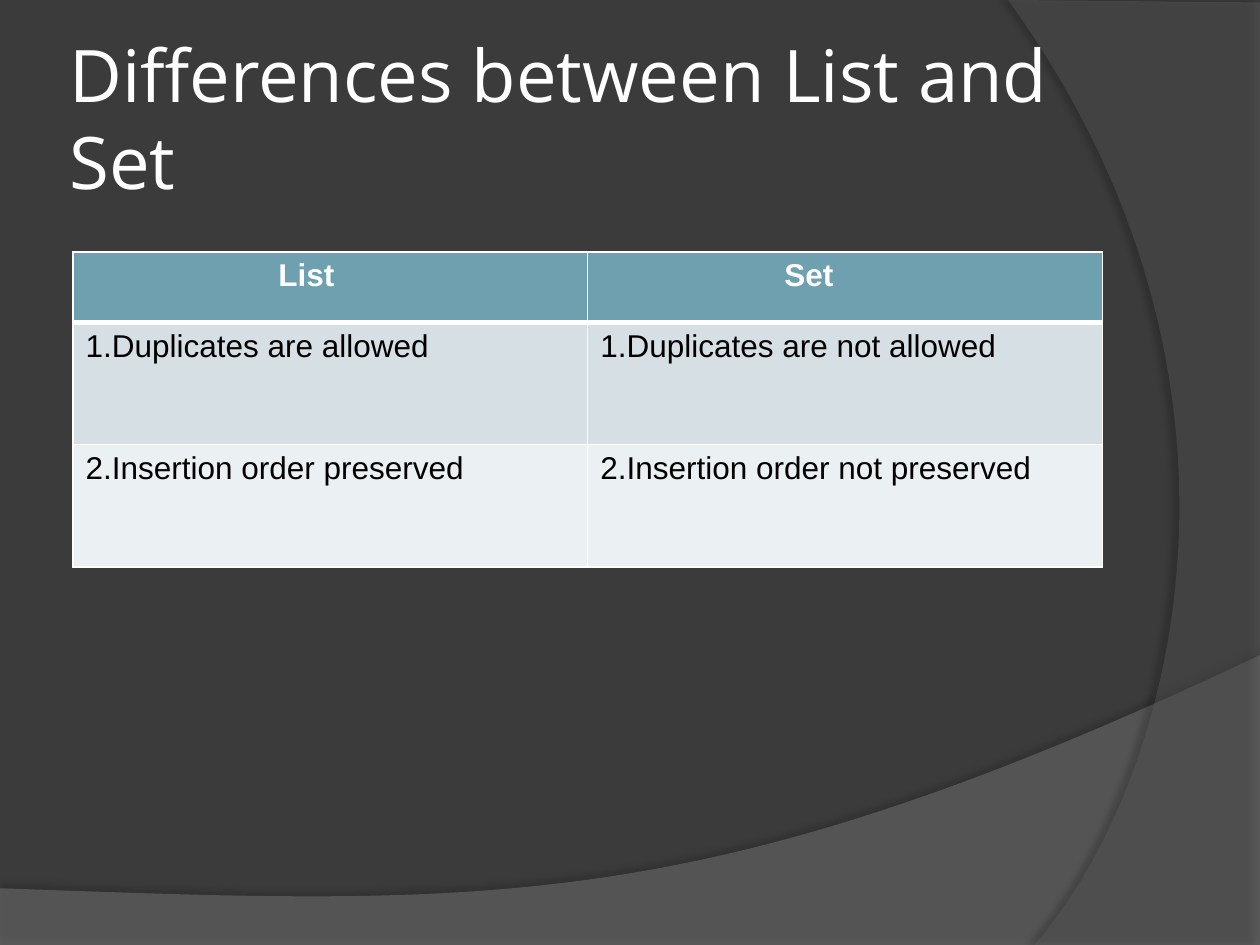
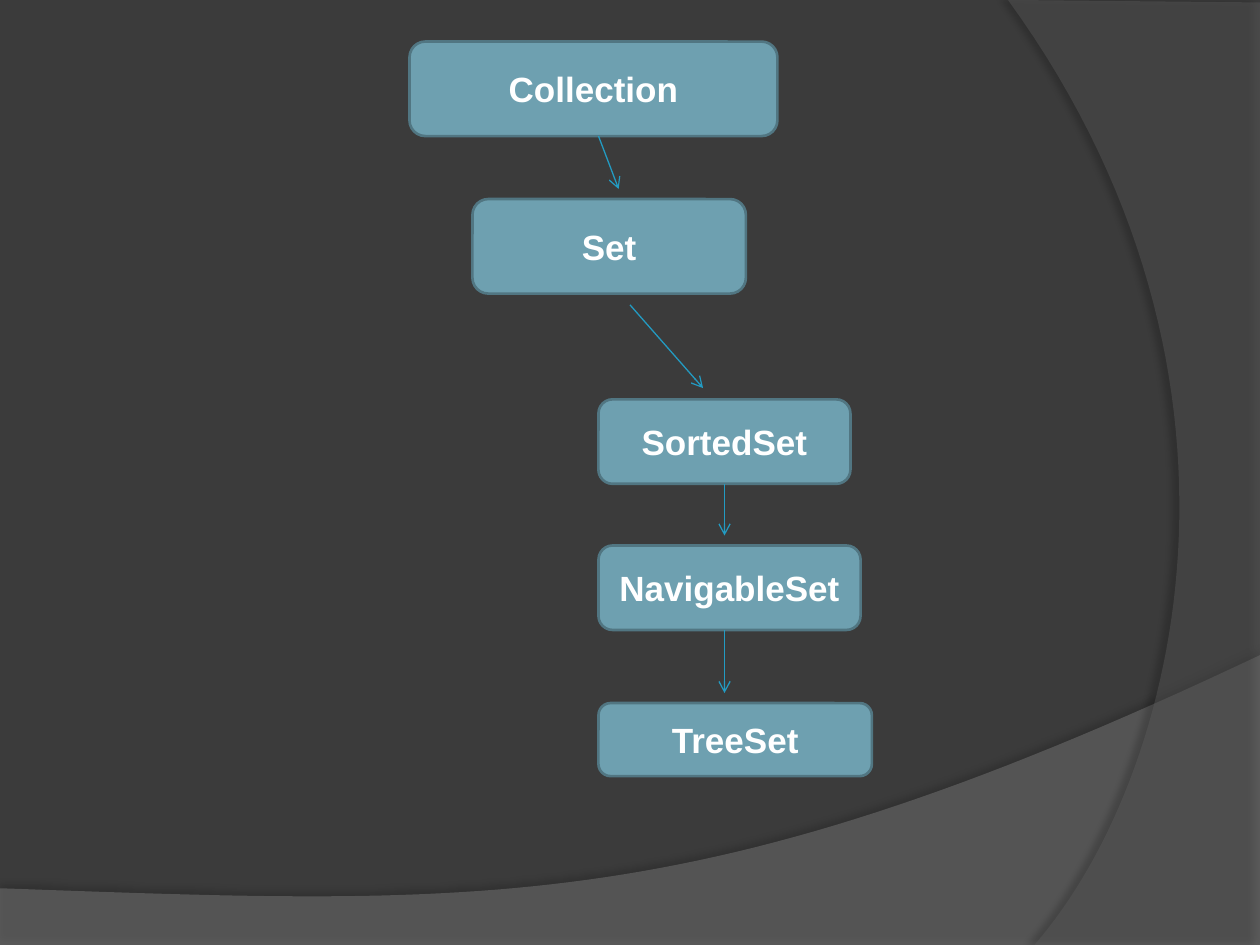
import pptx
import pptx.enum.shapes
import pptx.enum.text
import pptx.oxml
import pptx.oxml.ns
import pptx.util
from pptx.dml.color import RGBColor
from pptx.util import Inches

BACKGROUND = RGBColor(0x3B, 0x3B, 0x3B)
LOWER_BAND = RGBColor(0x7F, 0x7F, 0x7F)
RIGHT_BAND = RGBColor(0x5E, 0x5E, 0x5E)
WHITE = RGBColor(0xFF, 0xFF, 0xFF)
BLACK = RGBColor(0, 0, 0)
TEAL = RGBColor(0x6E, 0xA0, 0xB0)
TEAL_EDGE = RGBColor(0x51, 0x76, 0x82)
ARROW_BLUE = RGBColor(0x23, 0x9B, 0xC2)
ROW_FILLS = [RGBColor(0xD5, 0xDF, 0xE4), RGBColor(0xEB, 0xF0, 0xF2)]
TITLE_FONT = "Open Sans"
BODY_FONT = "Arial"
TITLE_ONLY, BLANK = 5, 6
BOTTOM_SITE = 2


def element(markup):
    return pptx.oxml.parse_xml(
        markup.replace(" ", f" {pptx.oxml.ns.nsdecls('a')} ", 1))


def curve(start, first, second, end, steps=60):
    points = []
    for step in range(1, steps + 1):
        t = step / steps
        weights = ((1 - t) ** 3, 3 * t * (1 - t) ** 2, 3 * t * t * (1 - t), t ** 3)
        points.append(tuple(
            sum(w * p[axis] for w, p in zip(weights, (start, first, second, end)))
            for axis in (0, 1)))
    return points


class Deck:
    def __init__(self):
        self.presentation = pptx.Presentation()
        self.presentation.slide_width = Inches(10)
        self.presentation.slide_height = Inches(7.5)
        self.master = self.presentation.slide_master
        self.master.background.fill.solid()
        self.master.background.fill.fore_color.rgb = BACKGROUND
        self.slide = None

    def new_slide(self, layout):
        self.slide = self.presentation.slides.add_slide(
            self.presentation.slide_layouts[layout])

    def add_text(self, paragraph, text, size, color, font=BODY_FONT, bold=False):
        run = paragraph.add_run()
        run.text = text
        run.font.name = font
        run.font.size = pptx.util.Pt(size)
        run.font.bold = bold
        run.font.color.rgb = color

    def master_band(self, points, color, opacity, shadow, depth):
        corners = [(Inches(x), Inches(y)) for x, y in points]
        builder = self.slide.shapes.build_freeform(*corners[0])
        builder.add_line_segments(corners[1:], close=True)
        band = builder.convert_to_shape()
        band.fill.solid()
        band.fill.fore_color.rgb = color
        band.line.fill.background()
        band.shadow.inherit = False
        properties = band._element.spPr
        properties.find(".//" + pptx.oxml.ns.qn("a:srgbClr")).append(
            element(f'<a:alpha val="{opacity * 1000}"/>'))
        distance, angle, strength = shadow
        properties.find(pptx.oxml.ns.qn("a:effectLst")).append(element(
            f'<a:outerShdw blurRad="{pptx.util.Pt(4)}" dist="{pptx.util.Pt(distance)}" '
            f'dir="{angle * 60000}" algn="ctr" rotWithShape="0">'
            f'<a:srgbClr val="000000"><a:alpha val="{strength * 1000}"/></a:srgbClr>'
            '</a:outerShdw>'))
        band._element.nvSpPr.cNvPr.set("id", str(100 + depth))
        self.master.shapes._spTree.insert(2 + depth, band._element)

    def title(self, text):
        title = self.slide.shapes.title
        title.left, title.top = Inches(0.5), Inches(0.3)
        title.width, title.height = Inches(8.17), Inches(1.25)
        frame = title.text_frame
        frame.margin_left = frame.margin_right = Inches(0.05)
        frame.margin_top = frame.margin_bottom = Inches(0.05)
        frame.word_wrap = True
        frame.auto_size = pptx.enum.text.MSO_AUTO_SIZE.NONE
        frame.vertical_anchor = pptx.enum.text.MSO_ANCHOR.MIDDLE
        paragraph = frame.paragraphs[0]
        paragraph.alignment = pptx.enum.text.PP_ALIGN.LEFT
        self.add_text(paragraph, text, 41.4, WHITE, TITLE_FONT)

    def cell(self, cell, text, fill, color, bold, indent, top, bottom):
        properties = cell._tc.get_or_add_tcPr()
        for side, width in (("L", 1), ("R", 1), ("T", top), ("B", bottom)):
            properties.append(element(
                f'<a:ln{side} w="{pptx.util.Pt(width)}"><a:solidFill>'
                f'<a:srgbClr val="{WHITE}"/></a:solidFill></a:ln{side}>'))
        cell.fill.solid()
        cell.fill.fore_color.rgb = fill
        paragraph = cell.text_frame.paragraphs[0]
        if indent:
            paragraph._p.get_or_add_pPr().set("marL", str(Inches(indent)))
        self.add_text(paragraph, text, 18, color, bold=bold)

    def comparison(self, rows, heights, header_indents):
        table = self.slide.shapes.add_table(
            len(rows), len(rows[0]), Inches(0.58), Inches(2),
            Inches(8.17), Inches(sum(heights))).table
        for column in table.columns:
            column.width = Inches(8.17 / len(rows[0]))
        for r, (texts, height) in enumerate(zip(rows, heights)):
            table.rows[r].height = Inches(height)
            header = r == 0
            for c, text in enumerate(texts):
                self.cell(table.cell(r, c), text,
                          TEAL if header else ROW_FILLS[(r - 1) % 2],
                          WHITE if header else BLACK, header,
                          header_indents[c] if header else 0,
                          top=3 if r == 1 else 1, bottom=3 if header else 1)

    def node(self, text, left, top, width, height):
        node = self.slide.shapes.add_shape(
            pptx.enum.shapes.MSO_SHAPE.ROUNDED_RECTANGLE,
            Inches(left), Inches(top), Inches(width), Inches(height))
        node.shadow.inherit = False
        node.fill.solid()
        node.fill.fore_color.rgb = TEAL
        node.line.color.rgb = TEAL_EDGE
        node.line.width = pptx.util.Pt(1.5)
        node.text_frame.word_wrap = True
        node.text_frame.vertical_anchor = pptx.enum.text.MSO_ANCHOR.MIDDLE
        paragraph = node.text_frame.paragraphs[0]
        paragraph.alignment = pptx.enum.text.PP_ALIGN.CENTER
        self.add_text(paragraph, text, 20, WHITE, bold=True)
        return node

    def arrow(self, start, end, parent=None):
        arrow = self.slide.shapes.add_connector(
            pptx.enum.shapes.MSO_CONNECTOR.STRAIGHT,
            *(Inches(value) for value in start + end))
        if parent is not None:
            arrow.begin_connect(parent, BOTTOM_SITE)
        arrow.line.color.rgb = ARROW_BLUE
        arrow.line.width = pptx.util.Pt(0.75)
        arrow.line._get_or_add_ln().append(element('<a:tailEnd type="arrow"/>'))
        arrow._element.spPr.append(element('<a:effectLst />'))


def main():
    deck = Deck()

    deck.new_slide(TITLE_ONLY)
    lower_sweep = curve((10, 5.2), (5.59, 7.29), (3.91, 7.19), (0, 7.05))
    deck.master_band([(0, 7.05), (0, 7.5), (10, 7.5), (10, 5.2)] + lower_sweep[:-1],
                     LOWER_BAND, 45, (3.5, 270, 35), depth=0)
    right_sweep = curve((8.21, 7.5), (9.35, 6.19), (10.18, 3), (8, 0))
    deck.master_band([(10, 0.02), (10, 7.5), (8.21, 7.5)] + right_sweep,
                     RIGHT_BAND, 40, (4, 180, 45), depth=1)
    deck.title("Differences between List and Set")
    deck.comparison(
        [("List", "Set"),
         ("1.Duplicates are allowed", "1.Duplicates are not allowed"),
         ("2.Insertion order preserved", "2.Insertion order not preserved")],
        heights=(0.56, 0.97, 0.97), header_indents=(1.53, 1.46))

    deck.new_slide(BLANK)
    deck.node("Collection", 3.25, 0.33, 2.92, 0.75)
    deck.node("Set", 3.75, 1.58, 2.17, 0.75)
    sorted_set = deck.node("SortedSet", 4.75, 3.17, 2, 0.67)
    deck.node("NavigableSet", 4.75, 4.33, 2.08, 0.67)
    deck.node("TreeSet", 4.75, 5.58, 2.17, 0.58)
    deck.arrow((4.75, 1.08), (4.91, 1.5))
    deck.arrow((5, 2.42), (5.58, 3.08))
    deck.arrow((5.75, 3.84), (5.75, 4.25), sorted_set)
    deck.arrow((5.75, 5), (5.75, 5.5))

    deck.presentation.save("out.pptx")


if __name__ == "__main__":
    main()
